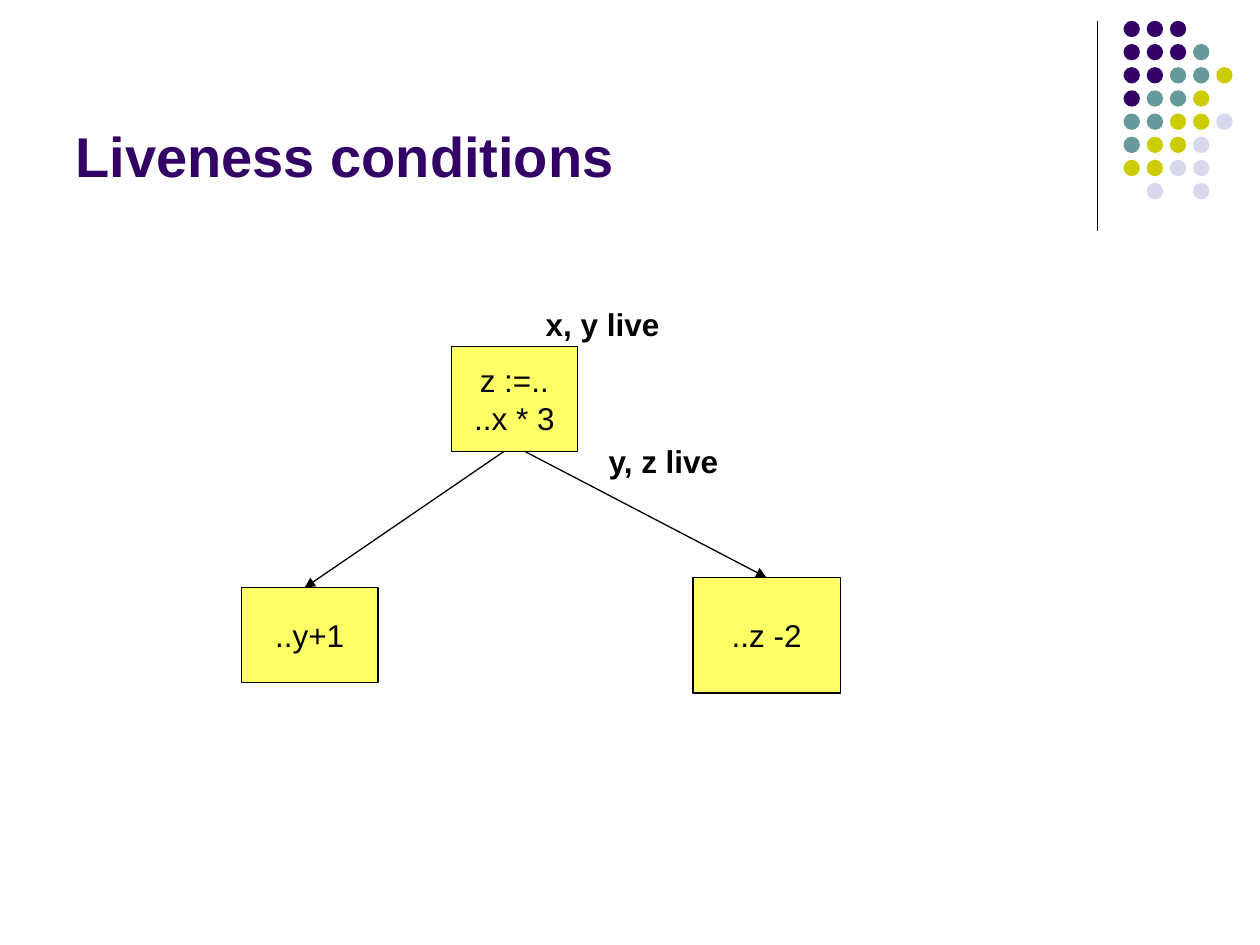
from typing import NamedTuple

from lxml import etree
from pptx import Presentation
from pptx import util as u
from pptx.dml import color
from pptx.enum import shapes, text
from pptx.oxml import ns

INK, PURPLE, YELLOW = "000000", "330066", "FFFF66"
DOT_COLOURS = {"P": PURPLE, "T": "669999", "O": "CCCC00", "L": "D8D8EC"}
DOT_ROWS = ["PPP", "PPPT", "PPTTO", "PTTO", "TTOOL", "TOOL", "OOLL", " L L"]
DOT_LEFT, DOT_TOP, DOT_SIZE = 22.65, 0.42, 0.33
DOT_PITCH = 3.27 / (len(DOT_ROWS) - 1)


class Box(NamedTuple):
    """Place in centimetres and the lines of text inside."""
    left: float
    top: float
    width: float
    height: float
    lines: tuple[str, ...]

    def place(self) -> list[u.Length]:
        return [u.Cm(v) for v in self[:4]]


class Line(NamedTuple):
    x1: float
    y1: float
    x2: float
    y2: float
    arrow: bool = False


TITLE = Box(1.27, 0.33, 20.96, 3.61, ("Liveness conditions",))
BLOCKS = [
    Box(9.1, 6.99, 2.54, 2.12, ("z :=..", "..x * 3")),
    Box(4.87, 11.85, 2.75, 1.91, ("..y+1",)),
    Box(13.97, 11.64, 2.97, 2.33, ("..z -2",)),
]
LINES = [
    Line(22.12, 0.42, 22.12, 4.66),
    Line(10.16, 9.1, 6.14, 11.85, arrow=True),
    Line(10.58, 9.1, 15.45, 11.64, arrow=True),
]
LABELS = [
    Box(12.02, 8.78, 2.85, 1.02, ("y, z live",)),
    Box(10.75, 6.03, 2.85, 1.02, ("x, y live",)),
]


def rgb(value: str) -> color.RGBColor:
    return color.RGBColor.from_string(value)


def write(s, lines, frame: dict, align, **font) -> None:
    """Fill a shape with paragraphs; frame and font hold format values."""
    tf = s.text_frame
    for name, value in frame.items():
        setattr(tf, name, value)
    fmt = {"name": "Arial", "size": u.Pt(18), "bold": False} | font
    colour = fmt.pop("colour", INK)
    for i, line in enumerate(lines):
        p = tf.paragraphs[0] if i == 0 else tf.add_paragraph()
        p.alignment = align
        r = p.add_run()
        r.text = line
        r.font.color.rgb = rgb(colour)
        for name, value in fmt.items():
            setattr(r.font, name, value)


def add_dots(sp) -> None:
    group = sp.add_group_shape()
    for row, codes in enumerate(DOT_ROWS):
        for col, code in enumerate(codes):
            if code == " ":
                continue
            s = group.shapes.add_shape(
                shapes.MSO_SHAPE.OVAL,
                u.Cm(DOT_LEFT + col * DOT_PITCH), u.Cm(DOT_TOP + row * DOT_PITCH),
                u.Cm(DOT_SIZE), u.Cm(DOT_SIZE))
            s.shadow.inherit = False
            s.fill.solid()
            s.fill.fore_color.rgb = rgb(DOT_COLOURS[code])
            s.line.fill.background()


def add_line(sp, line: Line) -> None:
    s = sp.add_connector(shapes.MSO_CONNECTOR.STRAIGHT, *(u.Cm(v) for v in line[:4]))
    s.line.color.rgb, s.line.width = rgb(INK), u.Pt(0.75)
    if line.arrow:
        ln = s._element.spPr.find(ns.qn("a:ln"))
        etree.SubElement(ln, ns.qn("a:tailEnd"), type="triangle")
    etree.SubElement(s._element.spPr, ns.qn("a:effectLst"))


def add_block(sp, box: Box) -> None:
    s = sp.add_shape(shapes.MSO_SHAPE.RECTANGLE, *box.place())
    s.shadow.inherit = False
    s.fill.solid()
    s.fill.fore_color.rgb = rgb(YELLOW)
    s.line.color.rgb, s.line.width = rgb(INK), u.Pt(0.75)
    frame = {"word_wrap": False, "vertical_anchor": text.MSO_ANCHOR.MIDDLE}
    write(s, box.lines, frame, text.PP_ALIGN.CENTER)


def add_text(sp, box: Box, frame: dict, **font) -> None:
    s = sp.add_textbox(*box.place())
    write(s, box.lines, frame, text.PP_ALIGN.LEFT, bold=True, **font)


def main() -> None:
    prs = Presentation()
    prs.slide_width, prs.slide_height = u.Cm(25.4), u.Cm(19.05)
    sp = prs.slides.add_slide(prs.slide_layouts[6]).shapes
    add_dots(sp)
    title_frame = {"word_wrap": True, "vertical_anchor": text.MSO_ANCHOR.BOTTOM}
    add_text(sp, TITLE, title_frame, size=u.Pt(32), colour=PURPLE)
    for block in BLOCKS:
        add_block(sp, block)
    for line in LINES:
        add_line(sp, line)
    label_frame = {"word_wrap": False, "auto_size": text.MSO_AUTO_SIZE.SHAPE_TO_FIT_TEXT}
    for label in LABELS:
        add_text(sp, label, label_frame)
    prs.save("out.pptx")


if __name__ == "__main__":
    main()
